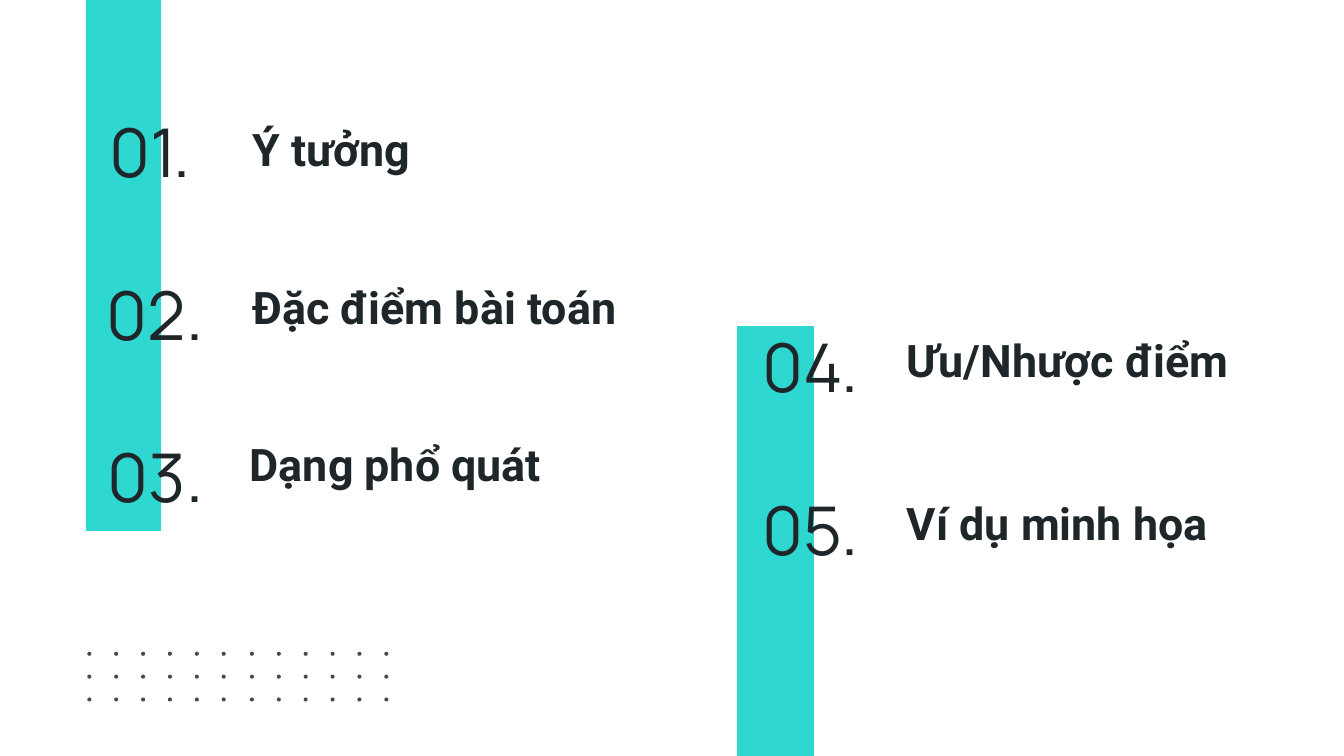
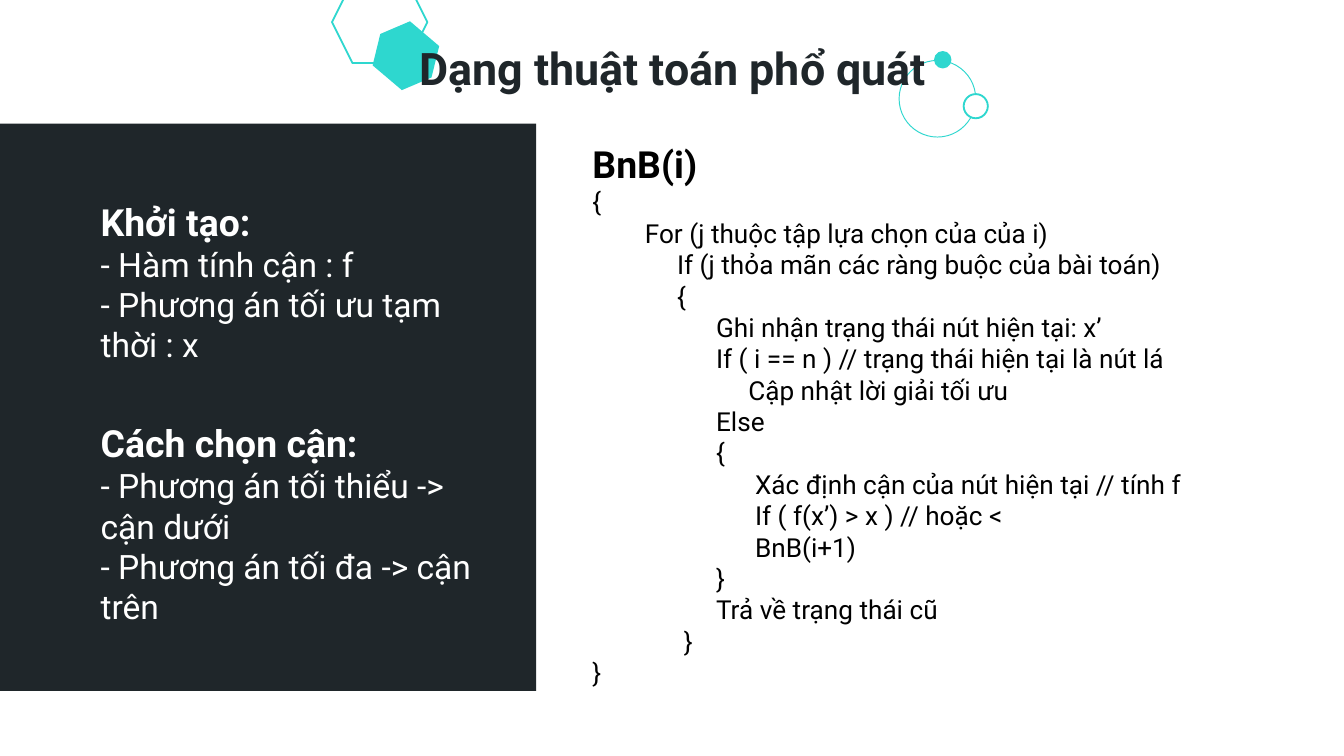
from pptx import Presentation
from pptx.dml.color import RGBColor
from pptx.enum.shapes import MSO_SHAPE
from pptx.enum.text import MSO_ANCHOR, MSO_AUTO_SIZE, PP_ALIGN
from pptx.util import Pt

PX = 9144  # 100 px to the inch

TURQUOISE = RGBColor(0x2E, 0xD7, 0xCF)
INK = RGBColor(0x1F, 0x26, 0x2A)
DOT_GREY = RGBColor(0x3F, 0x4D, 0x53)
WHITE = RGBColor(0xFF, 0xFF, 0xFF)
BLACK = RGBColor(0x00, 0x00, 0x00)

BODY_FONT = "Roboto"
NUMBER_FONT = "Manrope"

RECTANGLE = MSO_SHAPE.RECTANGLE
ELLIPSE = MSO_SHAPE.OVAL
HEXAGON = MSO_SHAPE.HEXAGON
LEFT, CENTER, RIGHT = PP_ALIGN.LEFT, PP_ALIGN.CENTER, PP_ALIGN.RIGHT
TOP, BOTTOM = MSO_ANCHOR.TOP, MSO_ANCHOR.BOTTOM
FIT_SHAPE, NO_FIT = MSO_AUTO_SIZE.SHAPE_TO_FIT_TEXT, MSO_AUTO_SIZE.NONE


def add_preset(slide, preset, box, fill=None, line=None, line_width=1):
    shape = slide.shapes.add_shape(preset, *[length * PX for length in box])
    shape.shadow.inherit = False
    if fill is None:
        shape.fill.background()
    else:
        shape.fill.solid()
        shape.fill.fore_color.rgb = fill
    if line is None:
        shape.line.fill.background()
    else:
        shape.line.color.rgb = line
        shape.line.width = Pt(line_width)
    return shape


def write_text(shape, box, rows, color, font=BODY_FONT, align=LEFT, anchor=TOP,
               inset=5, wrap=True, fit=FIT_SHAPE):
    """Each row is (text, size in points, bold, indent in px)."""
    shape.left, shape.top, shape.width, shape.height = [length * PX for length in box]
    frame = shape.text_frame
    frame.word_wrap = wrap
    frame.auto_size = fit
    frame.vertical_anchor = anchor
    frame.margin_left = frame.margin_right = 10 * PX
    frame.margin_top = frame.margin_bottom = inset * PX
    for index, (text, size, bold, indent) in enumerate(rows):
        paragraph = frame.add_paragraph() if index else frame.paragraphs[0]
        paragraph.alignment = align
        paragraph.space_before = Pt(0)
        if indent:
            paragraph._p.get_or_add_pPr().set("marL", str(indent * PX))
        run = paragraph.add_run()
        run.text = text
        run.font.name = font
        run.font.size = Pt(size)
        run.font.bold = bold
        run.font.color.rgb = color


presentation = Presentation()
presentation.slide_width = 1000 * PX
presentation.slide_height = presentation.slide_width * 9 // 16
title_only_layout = presentation.slide_layouts[5]

# Slide 1: agenda
slide = presentation.slides.add_slide(title_only_layout)
add_preset(slide, RECTANGLE, (64, 0, 56, 395), TURQUOISE)
add_preset(slide, RECTANGLE, (549, 243, 56, 395), TURQUOISE, TURQUOISE, 0.75)

# Agenda entries: number and its place, topic and its place
AGENDA = [
    ("01.", 8, 93, "Ý tưởng", 178, 86, 139),
    ("02.", 17, 214, "Đặc điểm bài toán", 178, 203, 294),
    ("03.", 17, 335, "Dạng phổ quát", 176, 320, 239),
    ("04.", 505, 253, "Ưu/Nhược điểm", 665, 243, 262),
    ("05.", 505, 374, "Ví dụ minh họa", 665, 364, 246),
]
for index, (number, number_left, number_top, topic, left, top, width) in enumerate(AGENDA):
    # The first number fills the title placeholder, in front of the bars
    if index == 0:
        number_box = slide.shapes.title
        slide.shapes._spTree.append(number_box._element)
    else:
        number_box = slide.shapes.add_textbox(0, 0, 0, 0)
    write_text(number_box, (number_left, number_top, 144, 59),
               [(number, 36, False, 0)], INK, NUMBER_FONT,
               RIGHT, BOTTOM, inset=10, fit=NO_FIT)
    topic_box = slide.shapes.add_textbox(0, 0, 0, 0)
    write_text(topic_box, (left, top, width, 50), [(topic, 24, True, 0)], INK, wrap=False)

# Dot grid
DOT_ROWS, DOT_COLUMNS, DOT_SPAN = 3, 12, 221
for row in range(DOT_ROWS):
    for column in range(DOT_COLUMNS):
        dot_left = 65 + round(column * DOT_SPAN / (DOT_COLUMNS - 1))
        add_preset(slide, ELLIPSE, (dot_left, 485 + 17 * row, 3, 3), DOT_GREY)

# Slide 2: general form of the algorithm
slide = presentation.slides.add_slide(title_only_layout)

# Orbit and hexagons around the title
add_preset(slide, ELLIPSE, (669, 45, 57, 57), line=TURQUOISE, line_width=0.5)
add_preset(slide, ELLIPSE, (695, 38, 13, 13), TURQUOISE)
add_preset(slide, ELLIPSE, (717, 70, 18, 18), WHITE, TURQUOISE)
add_preset(slide, HEXAGON, (247, -14, 71, 61), line=TURQUOISE)
solid_hexagon = add_preset(slide, HEXAGON, (277, 20, 50, 43), TURQUOISE)
solid_hexagon.rotation = 40.3

# Pseudocode: line and indent
CODE = [
    ("{", 0),
    ("For (j thuộc tập lựa chọn của của i)", 39),
    ("If (j thỏa mãn các ràng buộc của bài toán)", 63),
    ("{", 63),
    ("Ghi nhận trạng thái nút hiện tại: x’", 92),
    ("If ( i == n ) // trạng thái hiện tại là nút lá", 92),
    ("Cập nhật lời giải tối ưu", 116),
    ("Else", 92),
    ("{", 92),
    ("Xác định cận của nút hiện tại // tính f", 121),
    ("If ( f(x’) > x ) // hoặc <", 121),
    ("BnB(i+1)", 121),
    ("}", 92),
    ("Trả về trạng thái cũ", 92),
    ("}", 68),
    ("}", 0),
]
code_box = slide.shapes.add_textbox(0, 0, 0, 0)
write_text(code_box, (431, 100, 476, 468), [("BnB(i)", 20, True, 0)]
           + [(text, 14, False, indent) for text, indent in CODE], BLACK)

# Dark panel
add_preset(slide, RECTANGLE, (0, 92, 399, 422), INK)

# Title, brought in front of the hexagons
title = slide.shapes.title
slide.shapes._spTree.append(title._element)
write_text(title, (267, 25, 467, 50), [("Dạng thuật toán phổ quát", 24, True, 0)],
           INK, align=CENTER)

# Notes on the panel
NOTES = [
    ((65, 143, 279, 135), "Khởi tạo:",
     ["- Hàm tính cận : f", "- Phương án tối ưu tạm thời : x"]),
    ((65, 308, 319, 165), "Cách chọn cận:",
     ["- Phương án tối thiểu -> cận dưới", "- Phương án tối đa -> cận trên"]),
]
for box, heading, points in NOTES:
    note_box = slide.shapes.add_textbox(0, 0, 0, 0)
    write_text(note_box, box, [(heading, 20, True, 0)]
               + [(point, 18, False, 0) for point in points], WHITE)

presentation.save("out.pptx")
